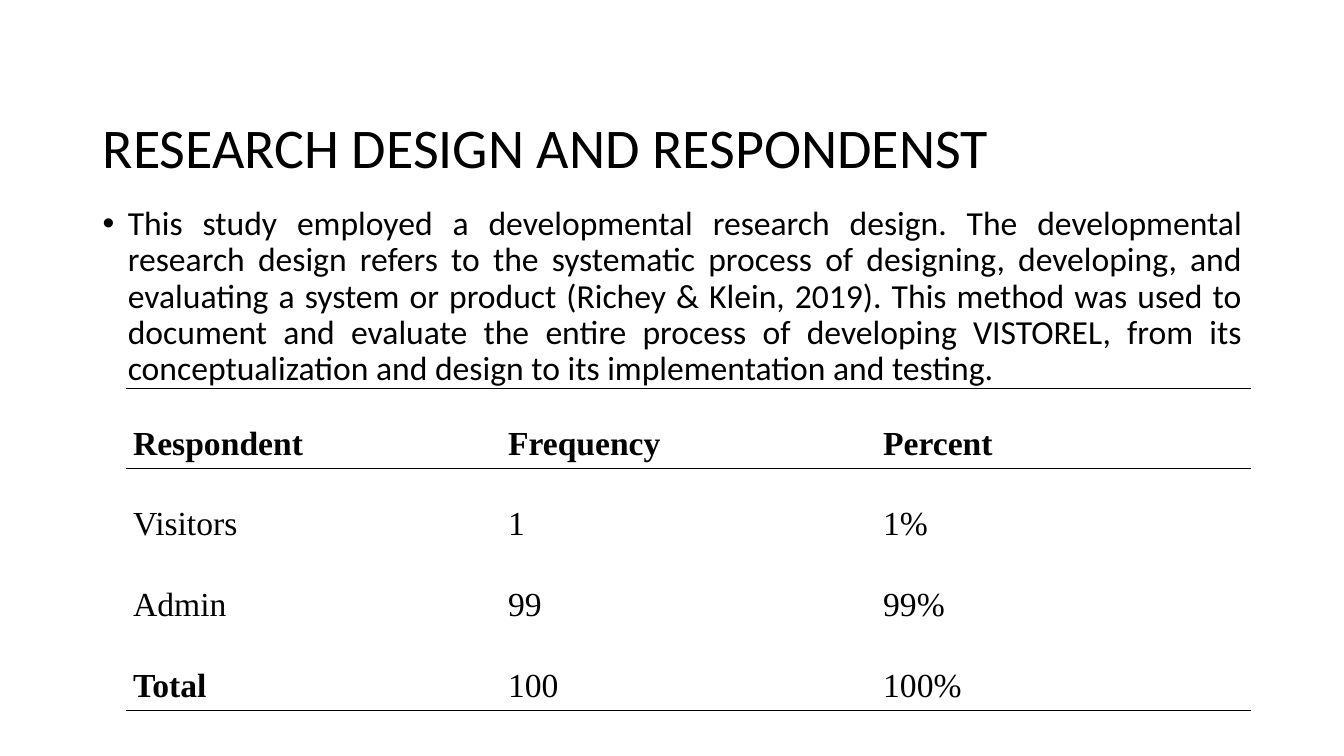
from dataclasses import dataclass

from lxml import etree
from pptx import Presentation
from pptx.dml.color import RGBColor
from pptx.enum.text import MSO_ANCHOR, PP_ALIGN
from pptx.oxml.ns import qn
from pptx.slide import Slide
from pptx.table import _Cell
from pptx.text.text import TextFrame
from pptx.util import Pt

EMU_PER_PX = 9144
LEFT, JUSTIFY = PP_ALIGN.LEFT, PP_ALIGN.JUSTIFY
TOP, MIDDLE = MSO_ANCHOR.TOP, MSO_ANCHOR.MIDDLE


@dataclass(frozen=True)
class Theme:
    text: str = "000000"
    rule: str = "000008"
    background: str = "FFFFFF"
    body_font: str = "Calibri"
    table_font: str = "Times New Roman"
    title_size: int = 40
    body_size: int = 24
    rule_width: float = 0.5


@dataclass(frozen=True)
class Box:
    left: int
    top: int
    width: int
    height: int


@dataclass(frozen=True)
class TableRow:
    values: tuple[str, ...]
    height: int
    bold_columns: tuple[int, ...] = ()
    rule_above: bool = False
    rule_below: bool = False


THEME = Theme()
TITLE_BOX = Box(92, 114, 1150, 70)
BODY_BOX = Box(92, 200, 1150, 272)
TABLE_BOX = Box(125, 385, 1116, 301)
TITLE = "RESEARCH DESIGN AND RESPONDENST"
BODY = (
    "This study employed a developmental research design. The developmental "
    "research design refers to the systematic process of designing, developing, "
    "and evaluating a system or product (Richey & Klein, 2019). This method was "
    "used to document and evaluate the entire process of developing VISTOREL, "
    "from its conceptualization and design to its implementation and testing."
)
ROWS = (
    TableRow(("Respondent", "Frequency", "Percent"), 61, (0, 1, 2), True, True),
    TableRow(("Visitors", "1", "1%"), 80, rule_above=True),
    TableRow(("Admin", "99", "99%"), 80),
    TableRow(("Total", "100", "100%"), 80, (0,), rule_below=True),
)


def px(length: int) -> int:
    return length * EMU_PER_PX


def write_text(
    frame: TextFrame,
    text: str,
    *,
    size: int = THEME.body_size,
    font: str = THEME.body_font,
    bold: bool = False,
    align: PP_ALIGN = JUSTIFY,
    line_spacing: float = 0.9,
    space_before: int = 0,
    bullet_indent: int = 0,
) -> None:
    paragraph = frame.paragraphs[0]
    paragraph.alignment = align
    paragraph.line_spacing = line_spacing
    paragraph.space_before = Pt(space_before)
    if bullet_indent:
        properties = paragraph._p.get_or_add_pPr()
        properties.set("marL", str(px(bullet_indent)))
        properties.set("indent", str(-px(bullet_indent)))
        etree.SubElement(properties, qn("a:buFont"), typeface="Arial")
        etree.SubElement(properties, qn("a:buChar"), char="•")
    run = paragraph.add_run()
    run.text = text
    run.font.size = Pt(size)
    run.font.name = font
    run.font.bold = bold
    run.font.color.rgb = RGBColor.from_string(THEME.text)


def add_text_frame(slide: Slide, box: Box, anchor: MSO_ANCHOR) -> TextFrame:
    shape = slide.shapes.add_textbox(
        px(box.left), px(box.top), px(box.width), px(box.height)
    )
    frame = shape.text_frame
    frame.word_wrap = True
    frame.vertical_anchor = anchor
    return frame


def set_borders(cell: _Cell, row: TableRow) -> None:
    visible = {"lnL": False, "lnR": False, "lnT": row.rule_above, "lnB": row.rule_below}
    properties = cell._tc.get_or_add_tcPr()
    for position, (side, shown) in enumerate(visible.items()):
        line = etree.Element(qn(f"a:{side}"), w=str(Pt(THEME.rule_width)))
        if shown:
            fill = etree.SubElement(line, qn("a:solidFill"))
            etree.SubElement(fill, qn("a:srgbClr"), val=THEME.rule)
        else:
            etree.SubElement(line, qn("a:noFill"))
        properties.insert(position, line)


def add_respondent_table(slide: Slide, box: Box, rows: tuple[TableRow, ...]) -> None:
    column_count = len(rows[0].values)
    table = slide.shapes.add_table(
        len(rows), column_count,
        px(box.left), px(box.top), px(box.width), px(box.height),
    ).table
    table.first_row = False
    table.horz_banding = False
    for column in table.columns:
        column.width = px(box.width // column_count)
    for row_index, row in enumerate(rows):
        table.rows[row_index].height = px(row.height)
        for column_index, value in enumerate(row.values):
            cell = table.cell(row_index, column_index)
            cell.fill.background()
            cell.margin_left = cell.margin_right = px(7)
            cell.margin_top = cell.margin_bottom = 0
            set_borders(cell, row)
            write_text(
                cell.text_frame,
                value,
                font=THEME.table_font,
                bold=column_index in row.bold_columns,
                line_spacing=2.0,
            )


def main() -> None:
    presentation = Presentation()
    presentation.slide_width = px(1333)
    presentation.slide_height = px(750)
    slide = presentation.slides.add_slide(presentation.slide_layouts[6])
    slide.background.fill.solid()
    slide.background.fill.fore_color.rgb = RGBColor.from_string(THEME.background)
    title_frame = add_text_frame(slide, TITLE_BOX, MIDDLE)
    write_text(title_frame, TITLE, size=THEME.title_size, align=LEFT)
    body_frame = add_text_frame(slide, BODY_BOX, TOP)
    write_text(body_frame, BODY, space_before=10, bullet_indent=25)
    add_respondent_table(slide, TABLE_BOX, ROWS)
    presentation.save("out.pptx")


if __name__ == "__main__":
    main()
